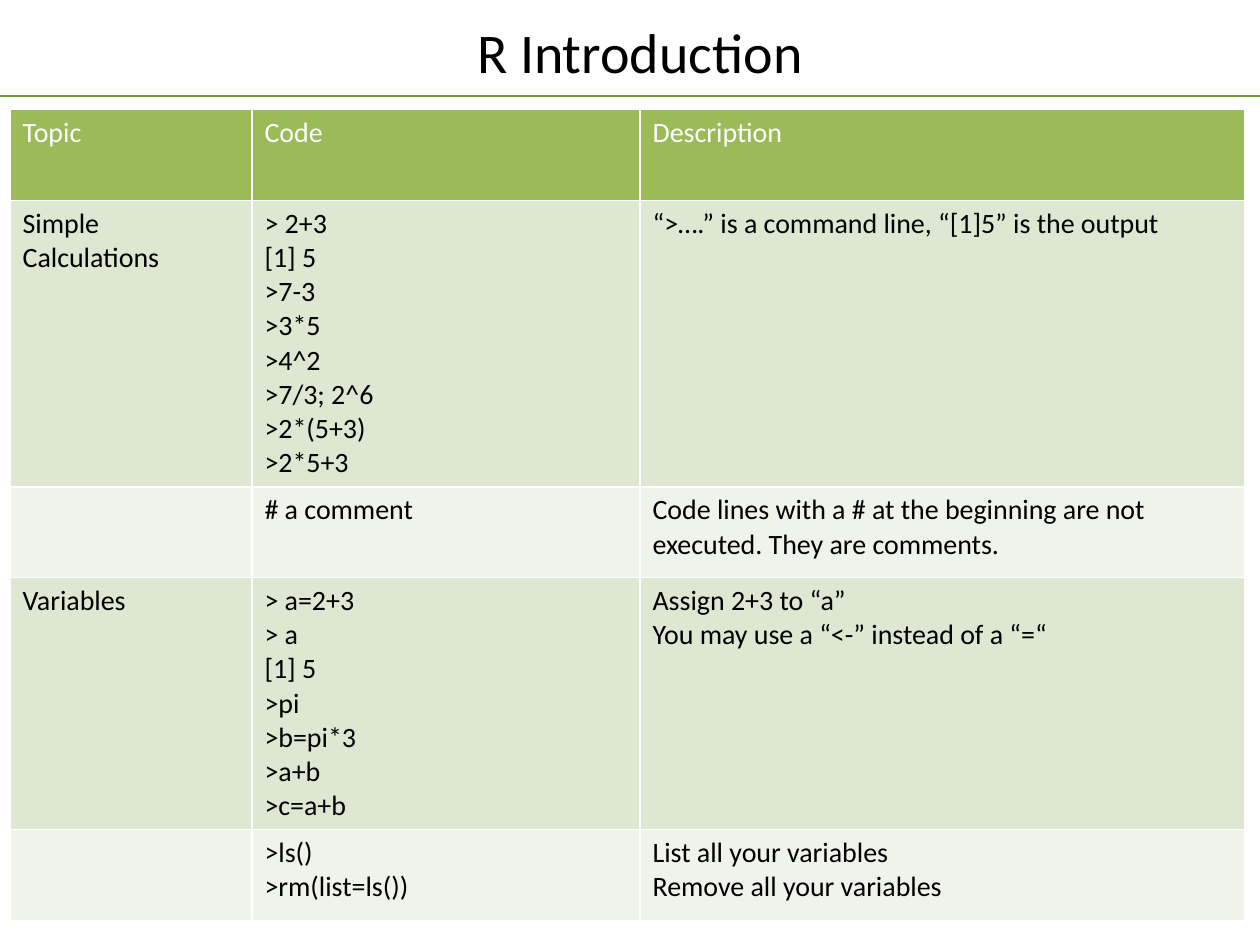
from dataclasses import dataclass

from lxml import etree
from pptx import Presentation
from pptx.dml.color import RGBColor
from pptx.enum.shapes import MSO_CONNECTOR
from pptx.enum.text import MSO_ANCHOR, PP_ALIGN
from pptx.oxml.ns import qn
from pptx.util import Inches, Pt

STRAIGHT = MSO_CONNECTOR.STRAIGHT
MIDDLE = MSO_ANCHOR.MIDDLE
CENTER = PP_ALIGN.CENTER
TITLE_ONLY = 5


@dataclass(frozen=True)
class Theme:
    """Font, type sizes and colours of the slide."""
    font: str = "Calibri"
    title_size: int = 32
    body_size: int = 16
    text: str = "000000"
    header_text: str = "FFFFFF"
    header_fill: str = "9BBB59"
    bands: tuple = ("DEE7D1", "EFF3EA")
    border: str = "FFFFFF"
    rule: str = "77933C"


class SlideBuilder:
    """Adds styled elements to one slide."""

    def __init__(self, slide, theme):
        """Keep the slide and its theme."""
        self.slide = slide
        self.theme = theme

    def style(self, frame, size, color):
        """Format all the text in a frame."""
        for paragraph in frame.paragraphs:
            for item in (paragraph, *paragraph.runs):
                item.font.name = self.theme.font
                item.font.size = Pt(size)
                item.font.bold = False
                item.font.color.rgb = RGBColor.from_string(color)

    def title(self, text, left, top, width, height):
        """Place and fill the title placeholder."""
        title = self.slide.shapes.title
        title.left, title.top = Inches(left), Inches(top)
        title.width, title.height = Inches(width), Inches(height)
        frame = title.text_frame
        frame.text = text
        frame.vertical_anchor = MIDDLE
        frame.paragraphs[0].alignment = CENTER
        self.style(frame, self.theme.title_size, self.theme.text)

    def rule(self, top, width):
        """Draw a thin horizontal line from the left edge."""
        rule = self.slide.shapes.add_connector(
            STRAIGHT, Inches(0), Inches(top), Inches(width), Inches(top))
        rule.line.color.rgb = RGBColor.from_string(self.theme.rule)
        rule.line.width = Pt(1)
        etree.SubElement(rule._element.spPr, qn("a:effectLst"))

    def borders(self, cell):
        """Give a cell a thin line on each side."""
        properties = cell._tc.get_or_add_tcPr()
        for index, side in enumerate(("lnL", "lnR", "lnT", "lnB")):
            line = etree.Element(qn(f"a:{side}"), w=str(Pt(1)))
            fill = etree.SubElement(line, qn("a:solidFill"))
            etree.SubElement(fill, qn("a:srgbClr"), val=self.theme.border)
            properties.insert(index, line)

    def table(self, rows, left, top, widths, heights):
        """Add a table with a header row and banded body rows."""
        theme = self.theme
        table = self.slide.shapes.add_table(
            len(rows), len(widths), Inches(left), Inches(top),
            Inches(sum(widths)), Inches(sum(heights))).table
        for column, width in zip(table.columns, widths):
            column.width = Inches(width)
        for index, (row, height) in enumerate(zip(table.rows, heights)):
            row.height = Inches(height)
            fill = theme.bands[(index - 1) % 2] if index else theme.header_fill
            color = theme.text if index else theme.header_text
            for cell, text in zip(row.cells, rows[index]):
                cell.text_frame.text = text
                self.style(cell.text_frame, theme.body_size, color)
                cell.fill.solid()
                cell.fill.fore_color.rgb = RGBColor.from_string(fill)
                self.borders(cell)


LESSON = [
    ("Topic", "Code", "Description"),
    ("Simple Calculations",
     "> 2+3\n[1] 5\n>7-3\n>3*5\n>4^2\n>7/3; 2^6\n>2*(5+3)\n>2*5+3",
     "“>….” is a command line, “[1]5” is the output"),
    ("", "# a comment",
     "Code lines with a # at the beginning are not executed. "
     "They are comments."),
    ("Variables",
     "> a=2+3\n> a\n[1] 5\n>pi\n>b=pi*3\n>a+b\n>c=a+b",
     "Assign 2+3 to “a” \nYou may use a “<-” instead of a “=“"),
    ("", ">ls()\n>rm(list=ls())",
     "List all your variables \nRemove all your variables"),
]


def main():
    """Build and save the slide."""
    deck = Presentation()
    deck.slide_width, deck.slide_height = Inches(10), Inches(7.5)
    slide = deck.slides.add_slide(deck.slide_layouts[TITLE_ONLY])
    builder = SlideBuilder(slide, Theme())
    builder.rule(0.76, 10)
    builder.title("R Introduction", 1.46, 0.05, 7.24, 0.71)
    builder.table(LESSON, 0.08, 0.87, widths=(1.92, 3.08, 4.8),
                  heights=(0.72, 2.27, 0.72, 2, 0.72))
    deck.save("out.pptx")


main()
